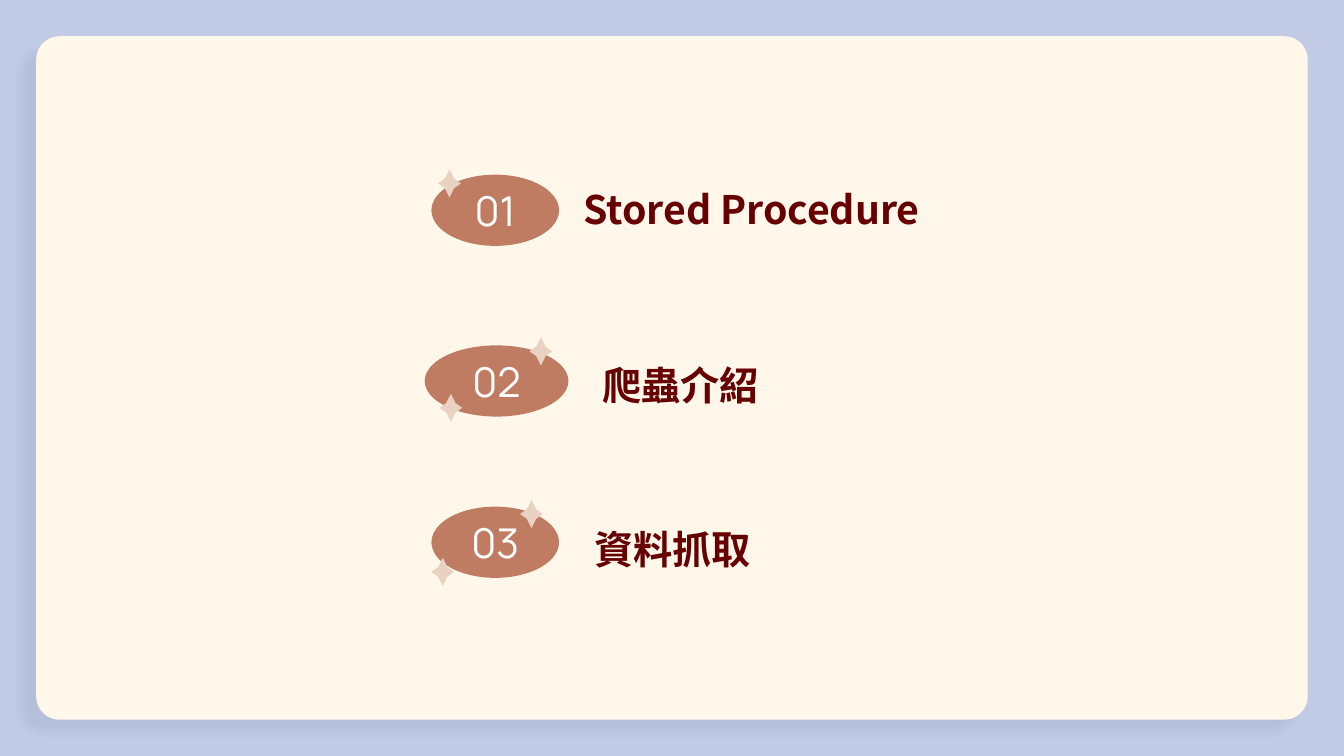
from dataclasses import dataclass

from lxml.etree import SubElement
from pptx import Presentation
from pptx.dml.color import RGBColor
from pptx.enum.shapes import MSO_SHAPE
from pptx.enum.text import MSO_ANCHOR, PP_ALIGN
from pptx.oxml.ns import qn
from pptx.util import Inches, Pt


@dataclass(frozen=True)
class Theme:
    backdrop: str = "C2CBE6"
    panel: str = "FFF7EA"
    shadow: str = "515B7A"
    oval: str = "BF7C63"
    sparkle: str = "EAD2C3"
    label: str = "670001"
    number: str = "FFFFFF"
    label_font: str = "Noto Sans CJK SC"
    number_font: str = "Manrope"
    label_size: int = 21
    number_size: int = 22


@dataclass(frozen=True)
class Box:
    """A rectangle in inches."""
    left: float
    top: float
    width: float
    height: float

    def emu(self):
        return [Inches(v) for v in (self.left, self.top, self.width, self.height)]

    def centred(self, width, height):
        return Box(self.left + (self.width - width) / 2,
                   self.top + (self.height - height) / 2, width, height)


THEME = Theme()
PAGE = Box(0, 0, 10, 10 * 9 / 16)
MARGIN = 0.27
OVAL_HEIGHT = 0.53
SPARKLE_WIDTH, SPARKLE_HEIGHT = 0.17, 0.21

# number, label, oval (left, top, width), label box, sparkle corners as offsets from the oval
AGENDA = [
    ("01", "Stored Procedure", (3.21, 1.30, 0.95), Box(4.23, 1.38, 2.72, 0.37),
     [(0.05, -0.04)]),
    ("02", "爬蟲介紹", (3.16, 2.57, 1.07), Box(3.27, 2.69, 3.59, 0.37),
     [(0.78, -0.06), (0.11, 0.36)]),
    ("03", "資料抓取", (3.21, 3.77, 0.95), Box(3.21, 3.91, 3.59, 0.37),
     [(0.66, -0.05), (0, 0.38)]),
]


def paint(shape, color):
    shape.fill.solid()
    shape.fill.fore_color.rgb = RGBColor.from_string(color)
    shape.line.fill.background()
    shape.shadow.inherit = False


def add_text(page, box, text, font, size, color, bold=False, anchor=MSO_ANCHOR.TOP, space_after=0):
    frame = page.shapes.add_textbox(*box.emu()).text_frame
    frame.word_wrap = True
    frame.vertical_anchor = anchor
    frame.margin_left = frame.margin_right = frame.margin_top = frame.margin_bottom = 0
    para = frame.paragraphs[0]
    para.alignment = PP_ALIGN.CENTER
    para.space_after = Pt(space_after)
    span = para.add_run()
    span.text = text
    span.font.name = font
    span.font.size = Pt(size)
    span.font.bold = bold
    span.font.color.rgb = RGBColor.from_string(color)
    SubElement(span.font._element, qn("a:ea"), typeface=font)


def add_panel(page, box):
    panel = page.shapes.add_shape(MSO_SHAPE.ROUNDED_RECTANGLE, *box.emu())
    panel.adjustments[0] = 0.034
    paint(panel, THEME.panel)
    effects = panel._element.spPr.find(qn("a:effectLst"))
    shadow = SubElement(effects, qn("a:outerShdw"), blurRad=str(Pt(4.5)), dist=str(Pt(10.5)),
                        dir=str(137 * 60000), algn="bl", rotWithShape="0")
    color = SubElement(shadow, qn("a:srgbClr"), val=THEME.shadow)
    SubElement(color, qn("a:alpha"), val="10000")


def add_sparkle(page, box):
    """Draw a four-pointed star whose inner corners lie near its centre."""
    x, y = box.left + box.width / 2, box.top + box.height / 2
    reach_x, reach_y, waist = box.width / 2, box.height / 2, 0.035
    offsets = [(0, -reach_y), (-waist, -waist), (-reach_x, 0), (-waist, waist),
               (0, reach_y), (waist, waist), (reach_x, 0), (waist, -waist)]
    points = [(Inches(x + dx), Inches(y + dy)) for dx, dy in offsets]
    builder = page.shapes.build_freeform(*points[0])
    builder.add_line_segments(points[1:], close=True)
    paint(builder.convert_to_shape(), THEME.sparkle)


def add_agenda_item(page, number, label, oval_box, label_box, sparkles):
    oval = page.shapes.add_shape(MSO_SHAPE.OVAL, *oval_box.emu())
    paint(oval, THEME.oval)
    add_text(page, label_box, label, THEME.label_font, THEME.label_size, THEME.label,
             bold=True, space_after=12)
    add_text(page, oval_box.centred(0.6, 0.31), number, THEME.number_font, THEME.number_size,
             THEME.number, anchor=MSO_ANCHOR.MIDDLE)
    for dx, dy in sparkles:
        add_sparkle(page, Box(oval_box.left + dx, oval_box.top + dy,
                              SPARKLE_WIDTH, SPARKLE_HEIGHT))


def main():
    deck = Presentation()
    deck.slide_width, deck.slide_height = Inches(PAGE.width), Inches(PAGE.height)
    page = deck.slides.add_slide(deck.slide_layouts[6])
    page.background.fill.solid()
    page.background.fill.fore_color.rgb = RGBColor.from_string(THEME.backdrop)
    add_panel(page, PAGE.centred(PAGE.width - 2 * MARGIN, PAGE.height - 2 * MARGIN))
    for number, label, oval, label_box, sparkles in AGENDA:
        add_agenda_item(page, number, label, Box(*oval, OVAL_HEIGHT), label_box, sparkles)
    deck.save("out.pptx")


if __name__ == "__main__":
    main()
